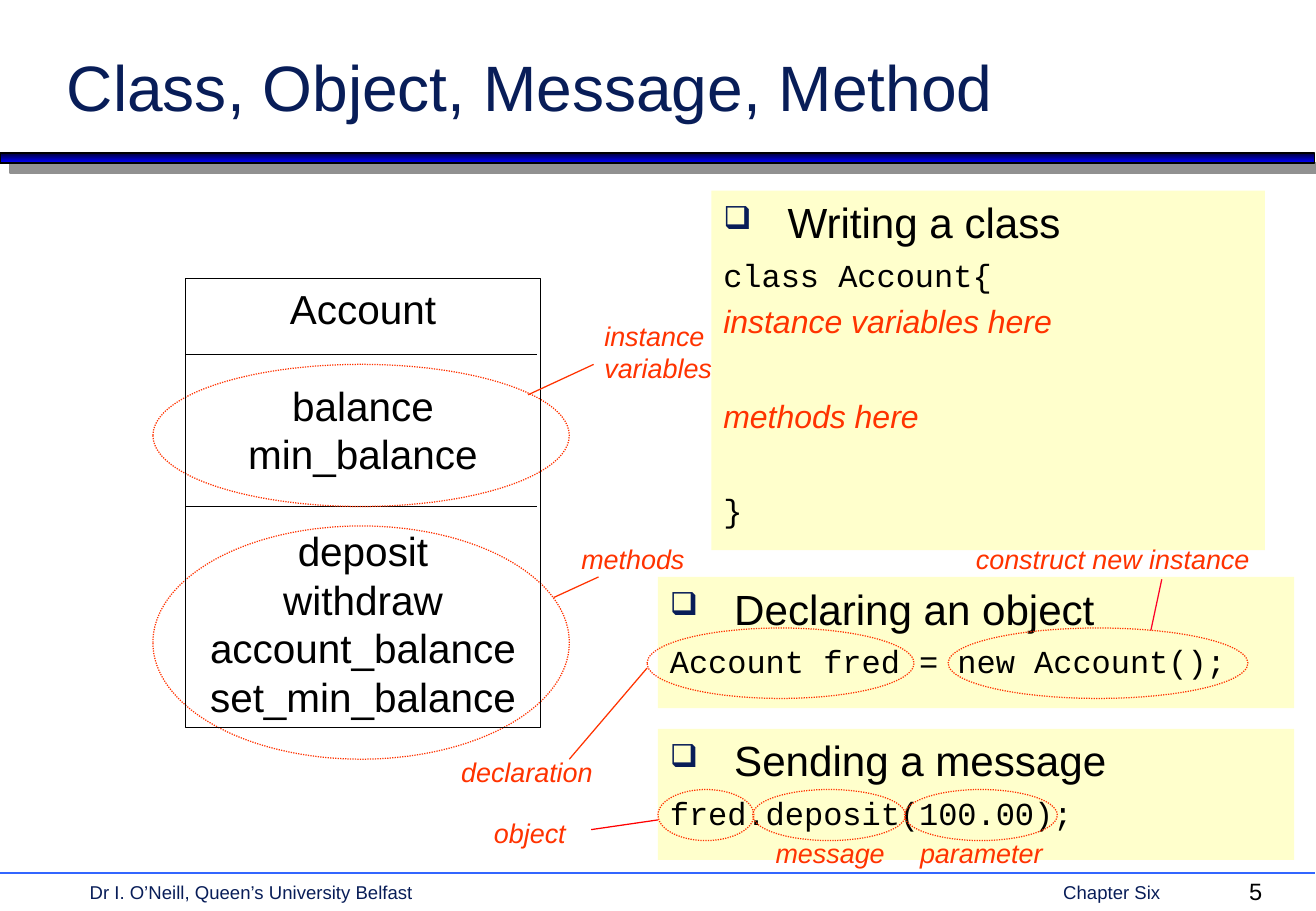
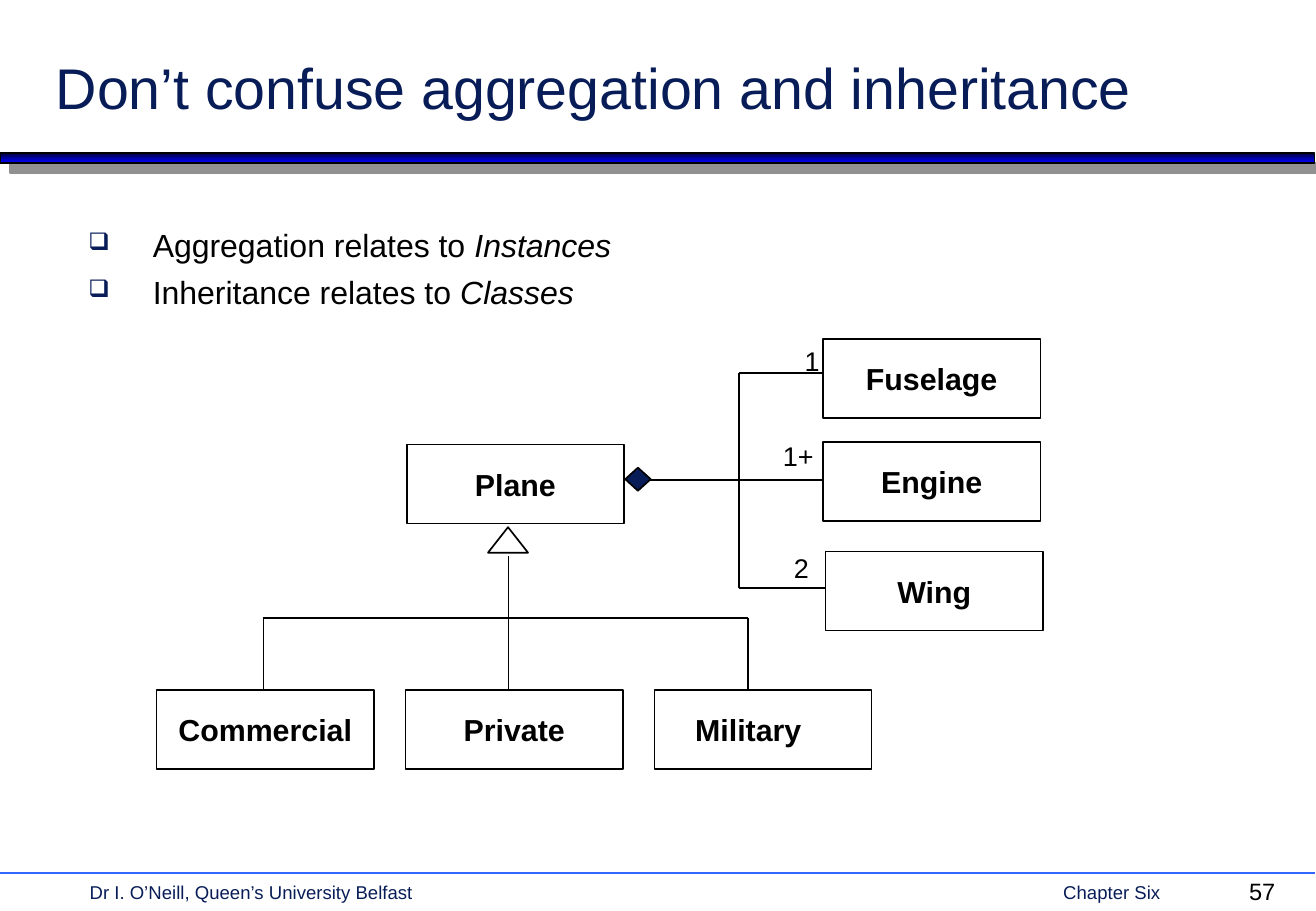
"""Build two lecture slides on classes, objects and aggregation."""
from dataclasses import dataclass

from lxml import etree
from pptx import Presentation
from pptx import util as u
from pptx.dml.color import RGBColor
from pptx.enum import dml, shapes, text
from pptx.oxml.ns import qn


@dataclass(frozen=True)
class Theme:
    """Colours, fonts and type sizes of the deck."""
    navy: str = "081D58"
    black: str = "000000"
    white: str = "FFFFFF"
    cream: str = "FFFFCC"
    flame: str = "FF3300"
    red: str = "FF0000"
    rose: str = "FC0128"
    rule: str = "3366FF"
    dark: str = "000036"
    blue: str = "0000FF"
    shade: str = "919191"
    sans: str = "Arial"
    mono: str = "Courier New"
    foot: int = 11
    page: int = 14
    note: int = 16
    node: int = 18
    body: int = 19
    uml: int = 24
    head: int = 25


T = Theme()
KIND = shapes.MSO_SHAPE
MID = text.PP_ALIGN.CENTER


def rgb(hue):
    """Turn a hex string into a colour."""
    return RGBColor.from_string(hue)


def style(par, size, hue=T.black, font=T.sans, bold=False, ital=False):
    """Format every run of a paragraph."""
    for run in par.runs:
        face = run.font
        face.name, face.size, face.bold, face.italic = font, u.Pt(size), bold, ital
        face.color.rgb = rgb(hue)


def bullet(par):
    """Give a paragraph a navy box bullet with a hanging indent."""
    props = par._p.get_or_add_pPr()
    props.set("marL", str(u.Inches(0.53)))
    props.set("indent", str(u.Inches(-0.53)))
    tint = etree.SubElement(props, qn("a:buClr"))
    etree.SubElement(tint, qn("a:srgbClr"), val=T.navy)
    etree.SubElement(props, qn("a:buSzPct"), val="75000")
    etree.SubElement(props, qn("a:buChar"), char="❑")


def label(slide, x, y, w, h, words, size, hue=T.black, ital=False):
    """Add a wrapped text box with one paragraph."""
    box = slide.shapes.add_textbox(*map(u.Inches, (x, y, w, h)))
    box.text_frame.word_wrap = True
    box.text_frame.text = words
    style(box.text_frame.paragraphs[0], size, hue, ital=ital)
    return box


def shape(slide, kind, x, y, w, h, fill=None, line=None, width=1):
    """Add a preset shape without a shadow."""
    item = slide.shapes.add_shape(kind, *map(u.Inches, (x, y, w, h)))
    item.shadow.inherit = False
    if fill:
        item.fill.solid()
        item.fill.fore_color.rgb = rgb(fill)
    else:
        item.fill.background()
    if line:
        item.line.color.rgb = rgb(line)
        item.line.width = u.Pt(width)
    else:
        item.line.fill.background()
    return item


def line(slide, x, y, to_x, to_y, hue=T.black, width=1):
    """Draw a straight line without a shadow."""
    item = slide.shapes.add_connector(
        shapes.MSO_CONNECTOR.STRAIGHT, *map(u.Inches, (x, y, to_x, to_y)))
    item.line.color.rgb = rgb(hue)
    item.line.width = u.Pt(width)
    etree.SubElement(item._element.spPr, qn("a:effectLst"))


def oval(slide, x, y, w, h):
    """Ring an area with a dotted ellipse."""
    ring = shape(slide, KIND.OVAL, x, y, w, h, line=T.flame, width=0.75)
    ring.line.dash_style = dml.MSO_LINE.ROUND_DOT


def bar(slide, x, y, w, h):
    """Draw the gradient band with its hard shadow."""
    band = shape(slide, KIND.RECTANGLE, x, y, w, h, T.blue, T.black)
    band.fill.gradient()
    band.fill.gradient_angle = 270
    for stop, hue, spot in zip(band.fill.gradient_stops, (T.dark, T.blue), (0, 1)):
        stop.color.rgb, stop.position = rgb(hue), spot
    glow = etree.SubElement(
        band._element.spPr.find(qn("a:effectLst")), qn("a:outerShdw"),
        dist=str(u.Pt(8.5)), dir="2700000", algn="ctr", rotWithShape="0")
    etree.SubElement(glow, qn("a:srgbClr"), val=T.shade)


def frame(deck, words, size, x, y, w, h, page):
    """Start a slide with its title, band and footer."""
    slide = deck.slides.add_slide(deck.slide_layouts[5])
    bar(slide, 0, 1.26, 10.83, 0.08)
    line(slide, 0, 7.19, 10.83, 7.19, T.rule)
    label(slide, 0.64, 7.2, 4, 0.28, "Dr I. O’Neill, Queen’s University Belfast",
          T.foot, T.navy)
    label(slide, 8.66, 7.2, 1.4, 0.28, "Chapter Six", T.foot, T.navy)
    label(slide, 10.19, 7.17, 0.58, 0.34, page, T.page)
    title = slide.shapes.title
    title.left, title.top, title.width, title.height = map(u.Inches, (x, y, w, h))
    area = title.text_frame
    area.text = words
    area.auto_size = text.MSO_AUTO_SIZE.NONE
    area.vertical_anchor = text.MSO_ANCHOR.BOTTOM
    area.paragraphs[0].alignment = text.PP_ALIGN.LEFT
    style(area.paragraphs[0], size, T.navy)
    return slide


def panel(slide, x, y, w, h, head, rows, rings=()):
    """Place a cream code panel; rows hold text, gap before and whether it is code."""
    area = shape(slide, KIND.RECTANGLE, x, y, w, h, T.cream).text_frame
    area.word_wrap = True
    area.vertical_anchor = text.MSO_ANCHOR.TOP
    area.text = head
    top = area.paragraphs[0]
    top.alignment = text.PP_ALIGN.LEFT
    bullet(top)
    style(top, T.head)
    for words, gap, code in rows:
        par = area.add_paragraph()
        par.text = words
        par.alignment = text.PP_ALIGN.LEFT
        par.space_before = u.Pt(gap)
        if code:
            style(par, T.body, font=T.mono)
        else:
            style(par, T.body, T.flame, ital=True)
    for dx, dy, wide, high in rings:
        oval(slide, x + dx, y + dy, wide, high)


def uml(slide, x, y, w, h):
    """Place the class box with its three compartments and two rings."""
    for dy in (0.63, 1.88):
        line(slide, x, y + dy, x + w - 0.03, y + dy, width=0.75)
    for dy, high in ((0.71, 1.17), (2.04, 1.92)):
        oval(slide, x - 0.27, y + dy, 3.43, high)
    area = shape(slide, KIND.RECTANGLE, x, y, w, h, line=T.black, width=0.75).text_frame
    area.word_wrap = True
    area.vertical_anchor = text.MSO_ANCHOR.TOP
    area.text = ("Account\nbalance\nmin_balance\ndeposit\nwithdraw\n"
                 "account_balance\nset_min_balance")
    for par in area.paragraphs:
        par.alignment = MID
        style(par, T.uml)
        if par.text in ("balance", "deposit"):
            par.space_before = u.Pt(28.5)


def notes(slide, x, y):
    """Place the red captions and their pointers."""
    for dx, dy, wide, words in (
            (1.18, 0, 1.26, "instance variables"), (0.99, 1.84, 1.17, "methods"),
            (0, 3.59, 1.53, "declaration"), (0.27, 4.09, 0.99, "object"),
            (2.59, 4.26, 1.2, "message"), (3.78, 4.26, 1.81, "parameter"),
            (4.24, 1.84, 2.71, "construct new instance")):
        label(slide, x + dx, y + dy, wide, 0.37, words, T.note, T.flame, True)
    for dx, dy, to_x, to_y, hue in (
            (0.65, 0.67, 1.19, 0.42, T.flame), (0.86, 2.34, 1.23, 2.17, T.flame),
            (0.99, 3.67, 1.63, 2.92, T.flame), (1.72, 4.17, 1.17, 4.25, T.red),
            (5.87, 2.19, 5.78, 2.61, T.rose)):
        line(slide, x + dx, y + dy, x + to_x, y + to_y, hue, 0.75)


def node(slide, x, y, words, shift=0):
    """Place a named class box, its name moved left by half the shift."""
    area = shape(slide, KIND.RECTANGLE, x, y, 1.79, 0.65, T.white, T.black).text_frame
    area.margin_right = u.Inches(0.1 + shift)
    area.vertical_anchor = text.MSO_ANCHOR.MIDDLE
    area.text = words
    area.paragraphs[0].alignment = MID
    style(area.paragraphs[0], T.node, bold=True)


def points(slide, x, y, w, h, rows):
    """Place bullets that end in an italic word."""
    area = slide.shapes.add_textbox(*map(u.Inches, (x, y, w, h))).text_frame
    area.word_wrap = True
    for rank, (lead, term) in enumerate(rows):
        par = area.add_paragraph() if rank else area.paragraphs[0]
        par.text = lead
        run = par.add_run()
        run.text = term
        bullet(par)
        if rank:
            par.space_before = u.Pt(4.8)
        style(par, T.body)
        run.font.italic = True


def kinds(slide, x, y):
    """Place the inheritance tree below the parent class."""
    shape(slide, KIND.ISOSCELES_TRIANGLE, x + 2.73, y, 0.33, 0.21, T.white, T.black)
    line(slide, x + 2.9, y + 0.24, x + 2.9, y + 0.75)
    line(slide, x + 0.88, y + 0.75, x + 4.87, y + 0.75)
    for rank, (words, drop, shift) in enumerate((
            ("Commercial", 0.88, 0), ("Private", 2.9, 0), ("Military", 4.87, 0.24))):
        line(slide, x + drop, y + 0.75, x + drop, y + 1.34)
        node(slide, x + 2.05 * rank, y + 1.34, words, shift)


def parts(slide, x, y):
    """Place the aggregation diamond, its branches and the part classes."""
    stem = x + 0.94
    shape(slide, KIND.DIAMOND, x, y + 1.06, 0.21, 0.19, T.navy, T.black)
    line(slide, x + 0.2, y + 1.16, stem, y + 1.16)
    line(slide, stem, y + 0.28, stem, y + 2.05)
    for words, dx, dy, arm, count, tag_x, tag_y in (
            ("Fuselage", 1.63, 0, 0.28, "1", 1.38, 0),
            ("Engine", 1.63, 0.85, 1.16, "1+", 1.2, 0.78),
            ("Wing", 1.65, 1.75, 2.05, "2", 1.29, 1.7)):
        line(slide, stem, y + arm, x + dx, y + arm)
        node(slide, x + dx, y + dy, words)
        label(slide, x + tag_x, y + tag_y, 0.48, 0.37, count, T.note)


def account(deck):
    """Build the slide on class, object, message and method."""
    slide = frame(deck, "Class, Object, Message, Method", 38, 0.45, 0.29, 9.25, 0.78, "5")
    panel(slide, 5.86, 1.57, 4.56, 2.96, "Writing a class", (
        ("class Account{", 4.8, True), ("instance variables here", 4.8, False),
        ("methods here", 33, False), ("}", 33, True)))
    panel(slide, 5.42, 4.75, 5.24, 1.08, "Declaring an object",
          (("Account fred = new Account();", 4.8, True),),
          ((-0.09, 0.42, 2.2, 0.58), (2.39, 0.42, 2.47, 0.58)))
    panel(slide, 5.42, 6, 5.24, 1.08, "Sending a message",
          (("fred.deposit(100.00);", 4.8, True),),
          ((0, 0.5, 0.79, 0.42), (0.78, 0.5, 1.26, 0.42), (2.03, 0.5, 1.26, 0.42)))
    uml(slide, 1.53, 2.29, 2.92, 3.7)
    notes(slide, 3.7, 2.58)


def plane(deck):
    """Build the slide on aggregation and inheritance."""
    slide = frame(deck, "Don’t confuse aggregation and inheritance", 34,
                  0.36, 0.29, 9.83, 0.76, "57")
    points(slide, 0.63, 1.81, 9.75, 0.9, (
        ("Aggregation relates to ", "Instances"), ("Inheritance relates to ", "Classes")))
    node(slide, 3.35, 3.66, "Plane")
    kinds(slide, 1.29, 4.34)
    parts(slide, 5.15, 2.79)


def main():
    """Build and save the deck."""
    deck = Presentation()
    deck.slide_width, deck.slide_height = u.Inches(10.84), u.Inches(7.5)
    account(deck)
    plane(deck)
    deck.save("out.pptx")


if __name__ == "__main__":
    main()
